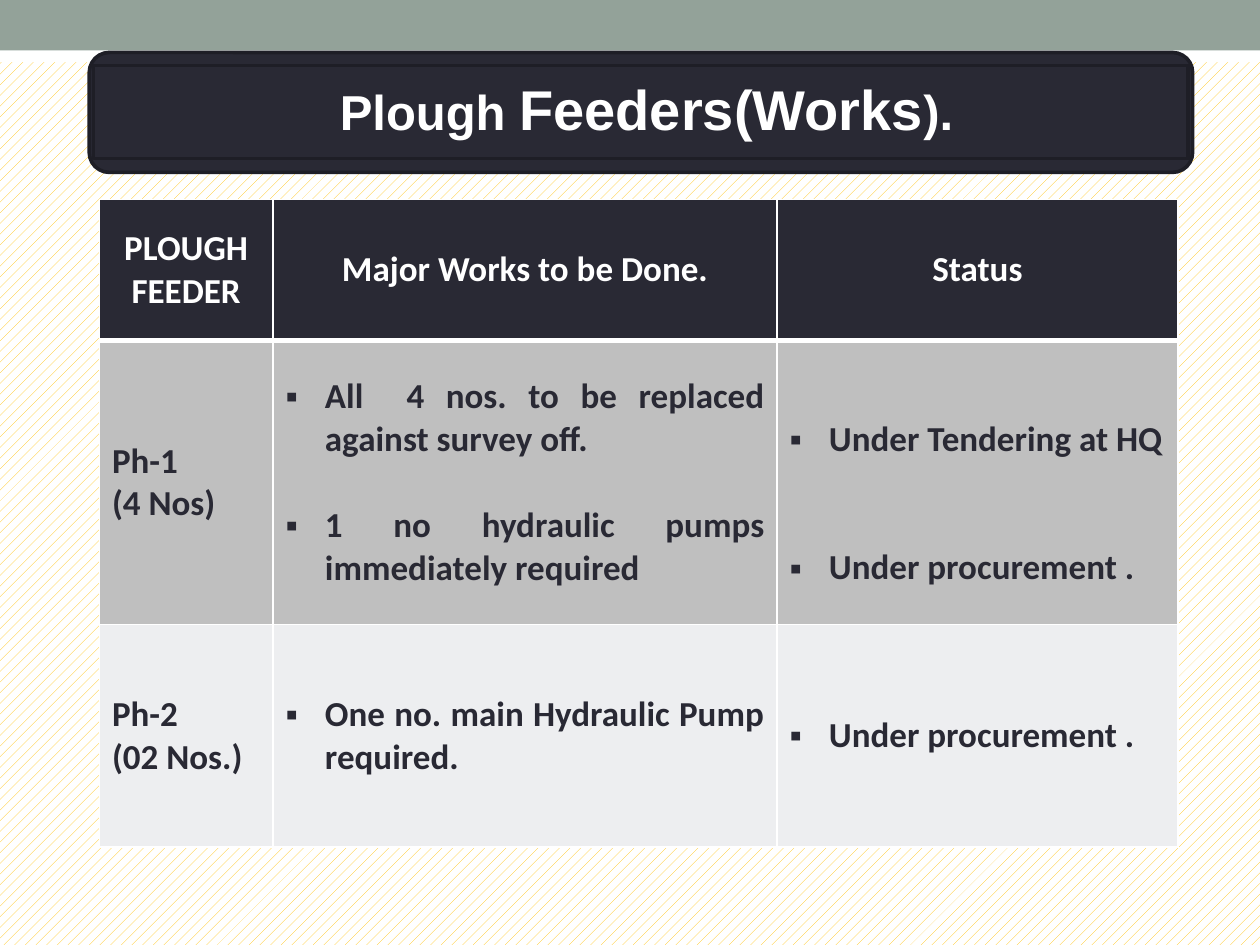
from pptx import Presentation
from pptx.util import Pt
from pptx.dml.color import RGBColor
from pptx.enum.dml import MSO_PATTERN as Pat
from pptx.enum.shapes import MSO_SHAPE as Geo
from pptx.enum.text import PP_ALIGN as Al, MSO_ANCHOR as Anc, MSO_AUTO_SIZE as Fit
from pptx.oxml.ns import qn
from lxml.etree import SubElement as Sub

DARK, EDGE, WHITE = "292934", "1E1E26", "FFFFFF"
SAGE, GOLD, GREY, PALE = "93A299", "FFC000", "BFBFBF", "EDEEF0"
LINE = 24.4  # height of one line of 20 pt text


def paint(fill, color):
    fill.solid()
    fill.fore_color.rgb = RGBColor.from_string(color)


def style(run, font, size, color):
    run.font.name, run.font.size, run.font.bold = font, Pt(size), True
    run.font.color.rgb = RGBColor.from_string(color)


def place(shape, box):
    shape.left, shape.top, shape.width, shape.height = map(Pt, box)


def block(slide, geo, box, color, edge=None):
    shape = slide.shapes.add_shape(geo, *map(Pt, box))
    shape.shadow.inherit = False
    paint(shape.fill, color)
    outline(shape, edge)


def outline(shape, edge):
    if edge:
        paint(shape.line.fill, edge)
        shape.line.width = Pt(2.08)
    else:
        shape.line.fill.background()


def backdrop(slide, width):
    fill = slide.background.fill
    fill.patterned()
    fill.pattern = Pat.PERCENT_20
    fill.fore_color.rgb = RGBColor.from_string(GOLD)
    fill.back_color.rgb = RGBColor.from_string(WHITE)
    block(slide, Geo.RECTANGLE, (0, 17.5, width, 18), WHITE)
    block(slide, Geo.RECTANGLE, (0, 0, width, 28.8), SAGE)


def banner(slide, box, parts):
    x, y, w, h = box
    block(slide, Geo.ROUNDED_RECTANGLE, box, DARK, EDGE)
    # Title, brought in front of the rounded plate
    title = slide.shapes.title
    slide.shapes._spTree.append(title._element)
    place(title, (x + 2.5, y + 7.5, w - 5, h - 15.5))
    paint(title.fill, DARK)
    outline(title, EDGE)
    frame = title.text_frame
    frame.auto_size, frame.word_wrap = Fit.NONE, True
    frame.vertical_anchor = Anc.MIDDLE
    frame.margin_left, frame.margin_right = Pt(15), Pt(8.5)
    frame.margin_top = frame.margin_bottom = Pt(4.5)
    para = frame.paragraphs[0]
    para.alignment, para.line_spacing = Al.CENTER, 0.9
    for text, size in parts:
        run = para.add_run()
        run.text = text
        style(run, "Arial", size, WHITE)


def border(cell, base):
    props = cell._tc.get_or_add_tcPr()
    for side, width in zip("LRTB", (1, 1, 1, base)):
        line = Sub(props, qn(f"a:ln{side}"), w=str(Pt(width)))
        Sub(Sub(line, qn("a:solidFill")), qn("a:srgbClr"), val=WHITE)


def bullet(para):
    props = para._p.get_or_add_pPr()
    props.set("marL", str(Pt(22.5)))
    props.set("indent", str(Pt(-22.5)))
    Sub(props, qn("a:buFont"), typeface="Arial")
    Sub(props, qn("a:buChar"), char="▪")


def write(cell, lines, align, color, listed, gap):
    frame = cell.text_frame
    frame.text = "\n".join(lines)
    cell.vertical_anchor = Anc.MIDDLE
    for i, para in enumerate(frame.paragraphs):
        para.alignment = align
        if listed:
            para.space_before = Pt(gap if i else 0)
            bullet(para)
        for run in para.runs:
            style(run, "Calibri", 20, color)


def grid(slide, box, cols, rows, data, gaps):
    table = slide.shapes.add_table(len(rows), len(cols), *map(Pt, box)).table
    for col, width in zip(table.columns, cols):
        col.width = Pt(width)
    for row, height in zip(table.rows, rows):
        row.height = Pt(height)
    for r, (fill, texts) in enumerate(zip((DARK, GREY, PALE), data)):
        for c, lines in enumerate(texts):
            cell = table.cell(r, c)
            border(cell, 1 if r else 3)
            paint(cell.fill, fill)
            listed = r > 0 and c > 0
            align = Al.CENTER if r == 0 else Al.JUSTIFY if listed else Al.LEFT
            write(cell, lines, align, DARK if r else WHITE, listed, gaps[c])
    return table


deck = Presentation()
deck.slide_width, deck.slide_height = Pt(720), Pt(540)
slide = deck.slides.add_slide(deck.slide_layouts[5])

backdrop(slide, 720)
works = grid(
    slide, (56.8, 114, 616.3, 370), (99.2, 288, 229.1), (80.5, 162.5, 127),
    [
        [["PLOUGH", "FEEDER"], ["Major Works to be Done."], ["Status"]],
        [["Ph-1", "(4 Nos)"],
         ["All  4 nos. to be replaced against survey off.",
          "1 no hydraulic pumps immediately required"],
         ["Under Tendering at HQ", "Under procurement ."]],
        [["Ph-2", "(02 Nos.)"],
         ["One no. main Hydraulic Pump required."],
         ["Under procurement ."]],
    ],
    gaps=(0, LINE, 2 * LINE))
# Line the first status up with the work it belongs to
works.cell(1, 2).margin_top = Pt(3.6 + LINE)
banner(slide, (51, 30, 630.5, 68.5),
       [("Plough ", 28), ("Feeders(Works", 32), (").", 28)])

deck.save("out.pptx")
